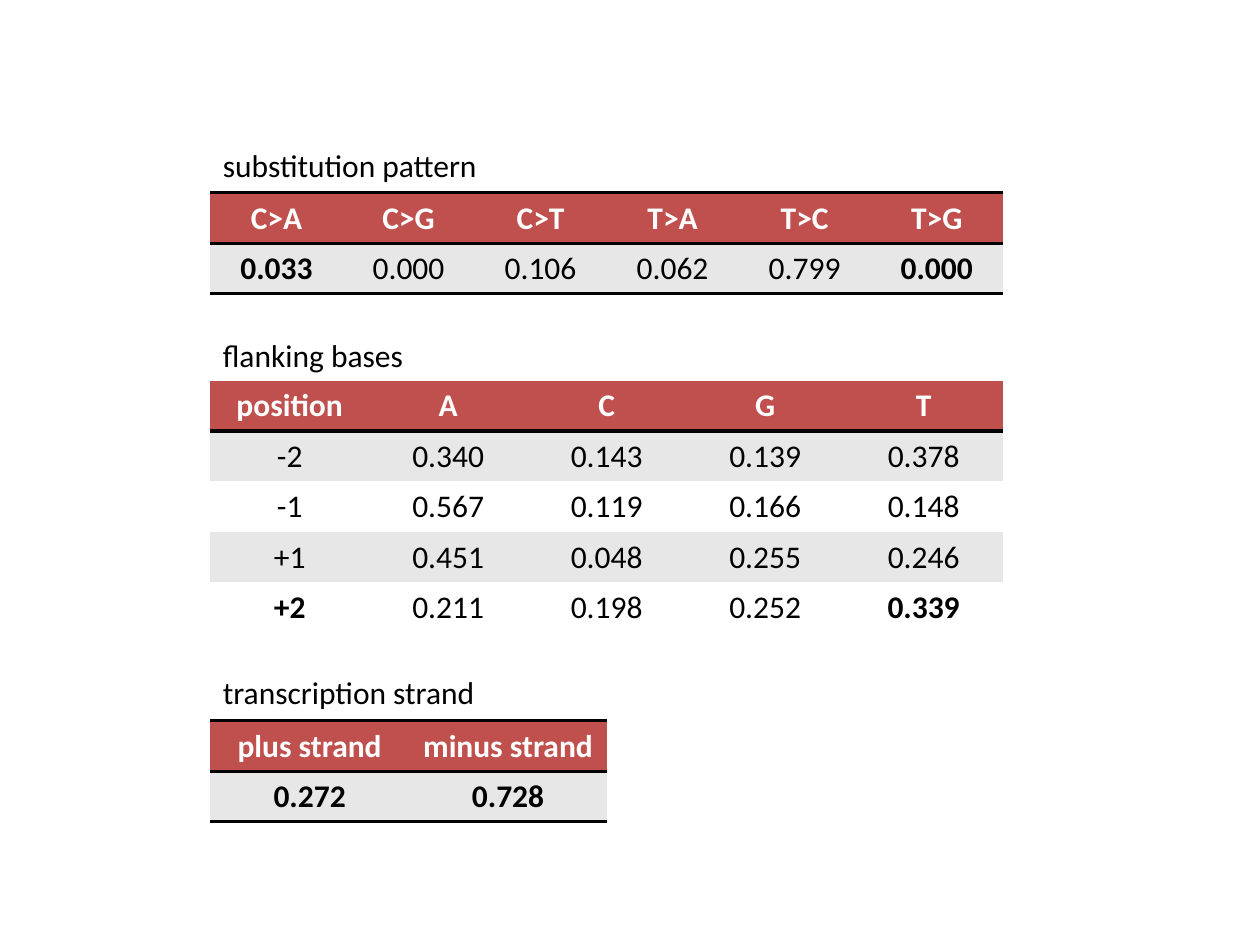
from lxml.etree import SubElement as Sub
from pptx import Presentation
from pptx.dml.color import RGBColor
from pptx.enum.text import PP_ALIGN as Align
from pptx.oxml.ns import qn
from pptx.util import Inches, Pt

RED, GREY, WHITE, BLACK = "C0504D", "E7E7E7", "FFFFFF", "000000"
PLAIN = "{2D5ABB26-0587-4C30-8999-92F81FD0307C}"  # no style, no grid
LEFT, ROW = 1.67, 0.4


def style(para, color, bold=False):
    font = para.font
    font.name, font.size, font.bold = "Calibri", Pt(18), bold
    font.color.rgb = RGBColor.from_string(color)


def rule(cell, side):
    line = Sub(cell._tc.get_or_add_tcPr(), qn("a:" + side), w=str(Pt(2)))
    Sub(Sub(line, qn("a:solidFill")), qn("a:srgbClr"), val=BLACK)


# Title, title top, title width, table top, table width, framed, rows;
# a star marks a bold value
tables = [
    ("substitution pattern", 1.11, 2.25, 1.53, 6.29, True, [
        "C>A C>G C>T T>A T>C T>G".split(),
        "*0.033 0.000 0.106 0.062 0.799 *0.000".split()]),
    ("flanking bases", 2.62, 1.65, 3.02, 6.29, False, [
        "position A C G T".split(),
        "-2 0.340 0.143 0.139 0.378".split(),
        "-1 0.567 0.119 0.166 0.148".split(),
        "+1 0.451 0.048 0.255 0.246".split(),
        "*+2 0.211 0.198 0.252 *0.339".split()]),
    ("transcription strand", 5.29, 2.23, 5.72, 3.15, True, [
        ["plus strand", "minus strand"],
        ["*0.272", "*0.728"]]),
]

prs = Presentation()
prs.slide_width, prs.slide_height = Inches(10), Inches(7.5)
slide = prs.slides.add_slide(prs.slide_layouts[6])

for title, head, wide, top, width, framed, rows in tables:
    # Title above the table
    box = slide.shapes.add_textbox(
        Inches(LEFT), Inches(head), Inches(wide), Inches(ROW))
    box.text_frame.word_wrap = False
    para = box.text_frame.paragraphs[0]
    para.text = title
    style(para, BLACK)

    # Table without a banded style
    grid = slide.shapes.add_table(
        len(rows), len(rows[0]), Inches(LEFT), Inches(top),
        Inches(width), Inches(ROW * len(rows))).table
    grid.first_row = grid.horz_banding = False
    grid._tbl.tblPr.find(qn("a:tableStyleId")).text = PLAIN

    # Cells: red header, then grey and white rows in turn
    for r, row in enumerate(rows):
        for c, text in enumerate(row):
            cell = grid.cell(r, c)
            if framed and r == 0:
                rule(cell, "lnT")
            if framed or r == 0:
                rule(cell, "lnB")
            fill = RED if r == 0 else GREY if r % 2 else WHITE
            cell.fill.solid()
            cell.fill.fore_color.rgb = RGBColor.from_string(fill)
            para = cell.text_frame.paragraphs[0]
            para.text = text.lstrip("*")
            para.alignment = Align.CENTER
            style(para, BLACK if r else WHITE, r == 0 or text[0] == "*")

prs.save("out.pptx")
